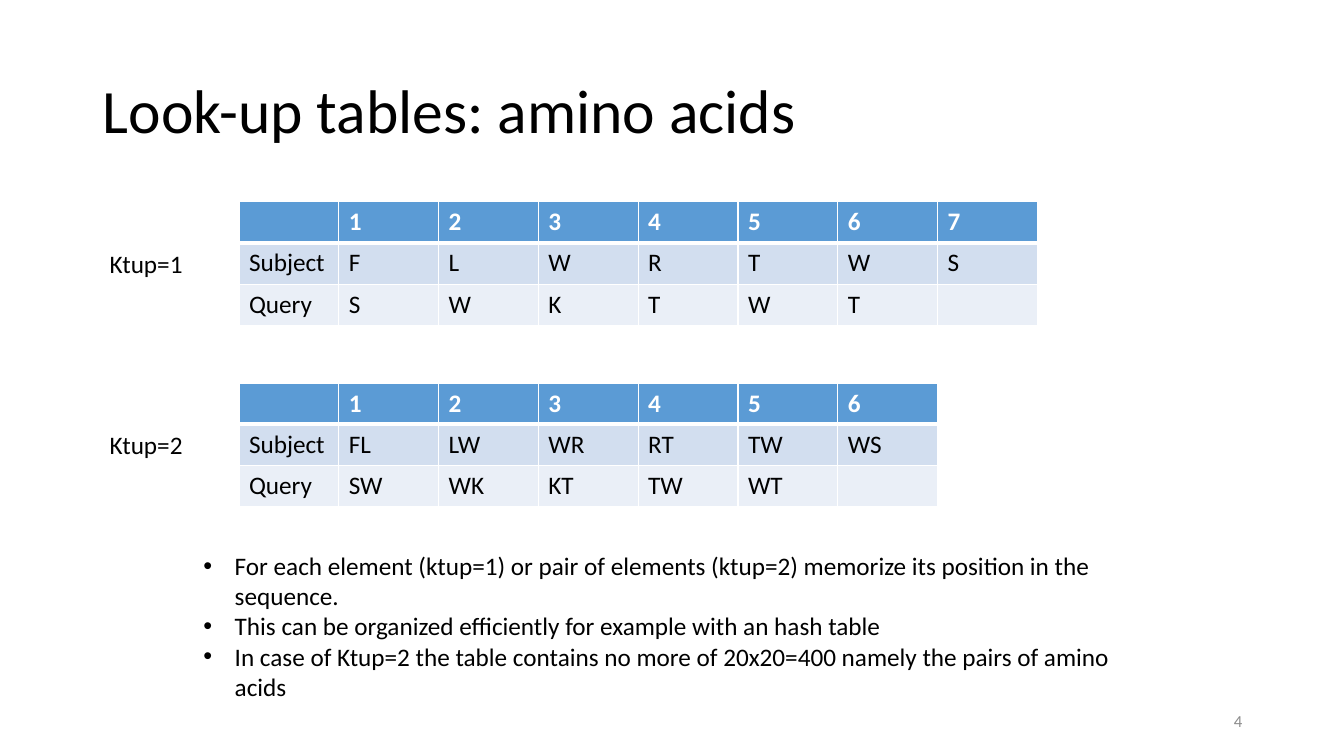
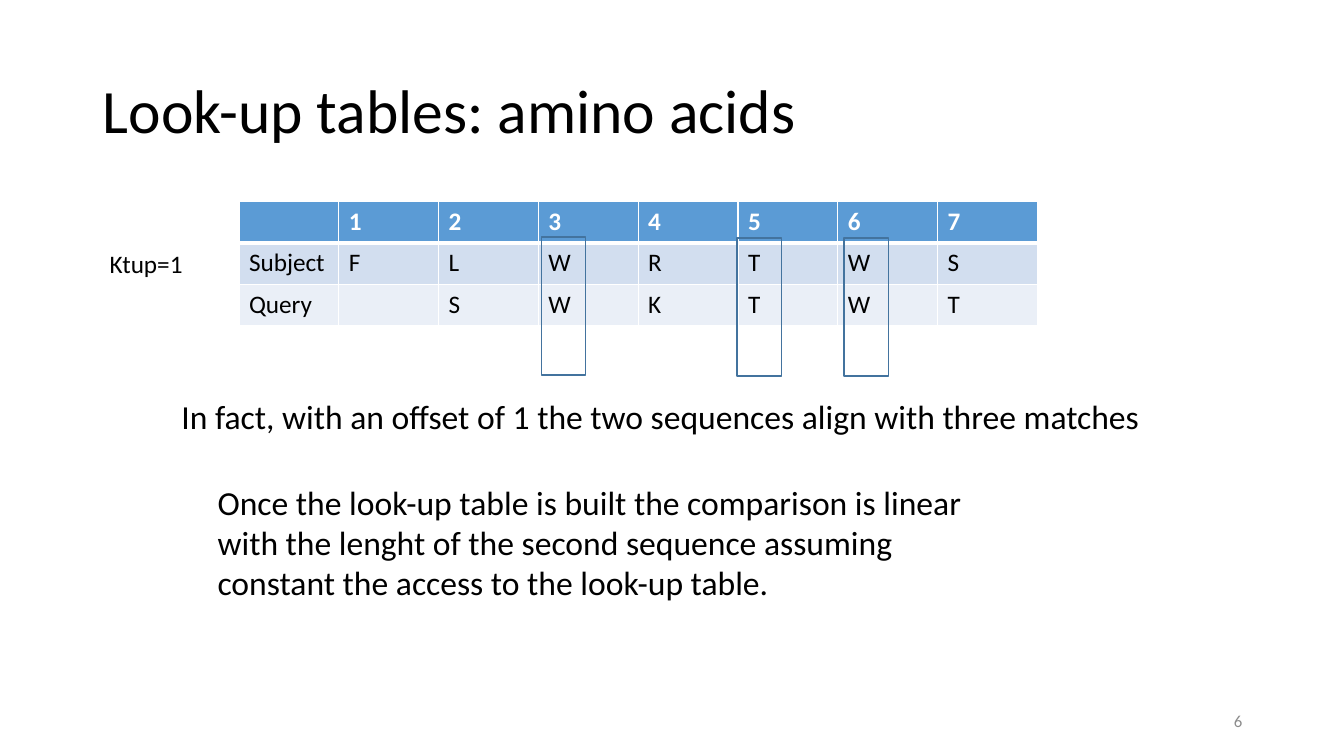
from dataclasses import dataclass
from typing import Any

import lxml.etree
import pptx
import pptx.dml.color
import pptx.enum.shapes
import pptx.enum.text
import pptx.oxml.ns
import pptx.util

Inches = pptx.util.Inches
Align = pptx.enum.text.PP_ALIGN
Anchor = pptx.enum.text.MSO_ANCHOR
Fit = pptx.enum.text.MSO_AUTO_SIZE
qn = pptx.oxml.ns.qn


@dataclass(frozen=True)
class Theme:
    font: str = "Calibri"
    ink: str = "000000"
    paper: str = "FFFFFF"
    head: str = "5B9BD5"
    bands: tuple[str, str] = ("D2DEEF", "EAEFF7")
    frame: str = "43739E"
    muted: str = "8C8C8C"
    title: int = 44
    large: int = 24
    body: int = 18
    small: int = 12


@dataclass(frozen=True)
class Box:
    left: float
    top: float
    width: float
    height: float

    def emu(self) -> tuple[int, ...]:
        return tuple(Inches(v) for v in (self.left, self.top, self.width, self.height))


@dataclass(frozen=True)
class Note:
    box: Box
    lines: tuple[str, ...]
    size: int
    wrap: bool = True
    bullet: bool = False


@dataclass(frozen=True)
class Grid:
    """A look-up table; its header counts the positions of the subject."""
    label: str
    top: float
    subject: tuple[str, ...]
    query: tuple[str, ...]


@dataclass(frozen=True)
class Page:
    number: str
    grids: tuple[Grid, ...]
    notes: tuple[Note, ...]
    frames: tuple[Box, ...] = ()


THEME = Theme()
TITLE = "Look-up tables: amino acids"
LEFT, COL, ROW = 2.37, 0.99, 0.41
INDENT = 0.31

PAGES = (
    Page(
        "4",
        (
            Grid("Ktup=1", 2, tuple("FLWRTWS"), tuple("SWKTWT") + ("",)),
            Grid("Ktup=2", 3.8, ("FL", "LW", "WR", "RT", "TW", "WS"),
                 ("SW", "WK", "KT", "TW", "WT", "")),
        ),
        (
            Note(Box(1.92, 5.41, 9.2, 1.62), (
                "For each element (ktup=1) or pair of elements (ktup=2) "
                "memorize its position in the sequence.",
                "This can be organized efficiently for example with an hash table",
                "In case of Ktup=2 the table contains no more of 20x20=400 "
                "namely the pairs of amino acids",
            ), THEME.body, bullet=True),
        ),
    ),
    Page(
        "6",
        (Grid("Ktup=1", 2, tuple("FLWRTWS"), ("",) + tuple("SWKTWT")),),
        (
            Note(Box(1.7, 3.88, 9.95, 0.5), (
                "In fact, with an offset of 1 the two sequences align with three matches",
            ), THEME.large, wrap=False),
            Note(Box(2.06, 4.73, 8.1, 1.31), (
                "Once the look-up table is built the comparison is linear with the "
                "lenght of the second sequence assuming constant the access to the "
                "look-up table.",
            ), THEME.large),
        ),
        tuple(Box(x, y, 0.44, 1.37) for x, y in ((5.37, 2.35), (8.37, 2.36), (7.31, 2.36))),
    ),
)


def rgb(code: str) -> pptx.dml.color.RGBColor:
    return pptx.dml.color.RGBColor.from_string(code)


def apply(target: Any, **values: Any) -> None:
    for name, value in values.items():
        setattr(target, name, value)


def write(para: Any, text: str, size: int, color: str = THEME.ink, bold: bool = False) -> None:
    run = para.add_run()
    run.text = text
    apply(run.font, name=THEME.font, size=pptx.util.Pt(size), bold=bold)
    run.font.color.rgb = rgb(color)


def add_bullet(para: Any) -> None:
    props = para._p.get_or_add_pPr()
    props.set("marL", str(Inches(INDENT)))
    props.set("indent", str(-Inches(INDENT)))
    lxml.etree.SubElement(props, qn("a:buFont"), typeface="Arial")
    lxml.etree.SubElement(props, qn("a:buChar"), char="•")


def add_title(slide: Any) -> None:
    title = slide.shapes.title
    names = ("left", "top", "width", "height")
    apply(title, **dict(zip(names, Box(0.92, 0.4, 11.5, 1.45).emu())))
    frame = title.text_frame
    apply(frame, vertical_anchor=Anchor.MIDDLE, auto_size=Fit.NONE, word_wrap=True)
    para = frame.paragraphs[0]
    apply(para, alignment=Align.LEFT, line_spacing=0.9)
    write(para, TITLE, THEME.title)


def add_note(slide: Any, note: Note) -> None:
    frame = slide.shapes.add_textbox(*note.box.emu()).text_frame
    apply(frame, word_wrap=note.wrap, auto_size=Fit.SHAPE_TO_FIT_TEXT)
    for i, line in enumerate(note.lines):
        para = frame.add_paragraph() if i else frame.paragraphs[0]
        write(para, line, note.size)
        if note.bullet:
            add_bullet(para)


def add_number(slide: Any, number: str) -> None:
    frame = slide.shapes.add_textbox(*Box(9.42, 6.95, 3, 0.4).emu()).text_frame
    apply(frame, word_wrap=True, vertical_anchor=Anchor.MIDDLE)
    para = frame.paragraphs[0]
    para.alignment = Align.RIGHT
    write(para, number, THEME.small, THEME.muted)


def add_edges(cell: Any, row: int) -> None:
    """Draw white cell borders, with a thick one below the header."""
    props = cell._tc.get_or_add_tcPr()
    thick = {0: "B", 1: "T"}.get(row)
    for side in "LRTB":
        width = pptx.util.Pt(3 if side == thick else 1)
        line = lxml.etree.SubElement(props, qn(f"a:ln{side}"), w=str(width))
        fill = lxml.etree.SubElement(line, qn("a:solidFill"))
        lxml.etree.SubElement(fill, qn("a:srgbClr"), val=THEME.paper)


def add_grid(slide: Any, grid: Grid) -> None:
    head = tuple(str(i + 1) for i in range(len(grid.subject)))
    rows = (("",) + head, ("Subject",) + grid.subject, ("Query",) + grid.query)
    count = len(rows[0])
    box = Box(LEFT, grid.top, COL * count, ROW * len(rows))
    table = slide.shapes.add_table(len(rows), count, *box.emu()).table
    for col in table.columns:
        col.width = Inches(COL)
    fills = (THEME.head,) + THEME.bands
    for r, texts in enumerate(rows):
        table.rows[r].height = Inches(ROW)
        for c, text in enumerate(texts):
            cell = table.cell(r, c)
            add_edges(cell, r)
            cell.fill.solid()
            cell.fill.fore_color.rgb = rgb(fills[r])
            if text:
                color = THEME.ink if r else THEME.paper
                write(cell.text_frame.paragraphs[0], text, THEME.body, color, r == 0)
    label = Box(0.99, grid.top + ROW, 0.93, 0.4)
    add_note(slide, Note(label, (grid.label,), THEME.body, wrap=False))


def add_frame(slide: Any, box: Box) -> None:
    shape = slide.shapes.add_shape(pptx.enum.shapes.MSO_SHAPE.RECTANGLE, *box.emu())
    shape.shadow.inherit = False
    shape.fill.background()
    shape.line.color.rgb = rgb(THEME.frame)
    shape.line.width = pptx.util.Pt(1)


def main() -> None:
    deck = pptx.Presentation()
    apply(deck, slide_width=Inches(13.33), slide_height=Inches(7.5))
    layout = deck.slide_layouts.get_by_name("Title Only")
    for page in PAGES:
        slide = deck.slides.add_slide(layout)
        add_title(slide)
        for grid in page.grids:
            add_grid(slide, grid)
        add_number(slide, page.number)
        for box in page.frames:
            add_frame(slide, box)
        for note in page.notes:
            add_note(slide, note)
    deck.save("out.pptx")


if __name__ == "__main__":
    main()
